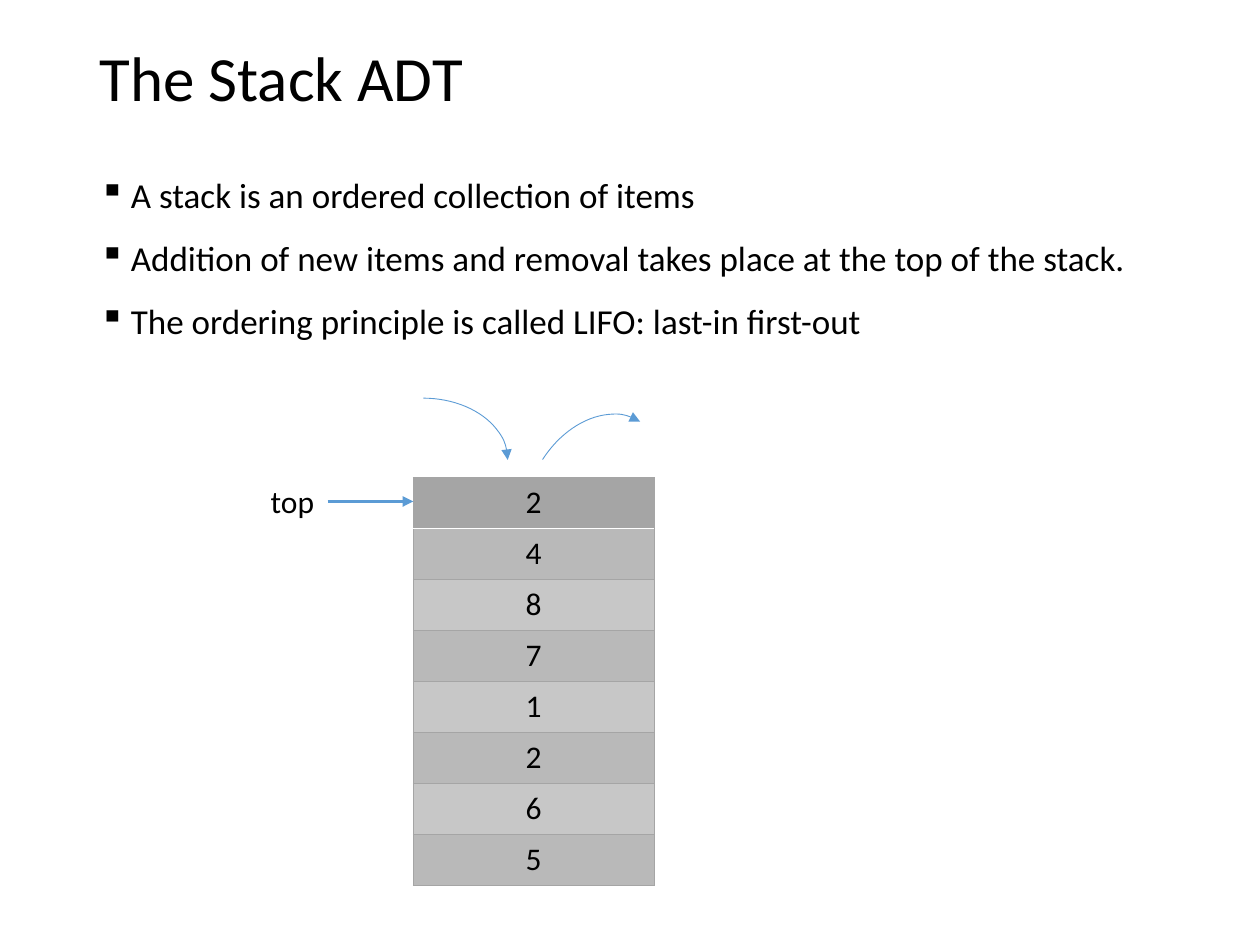
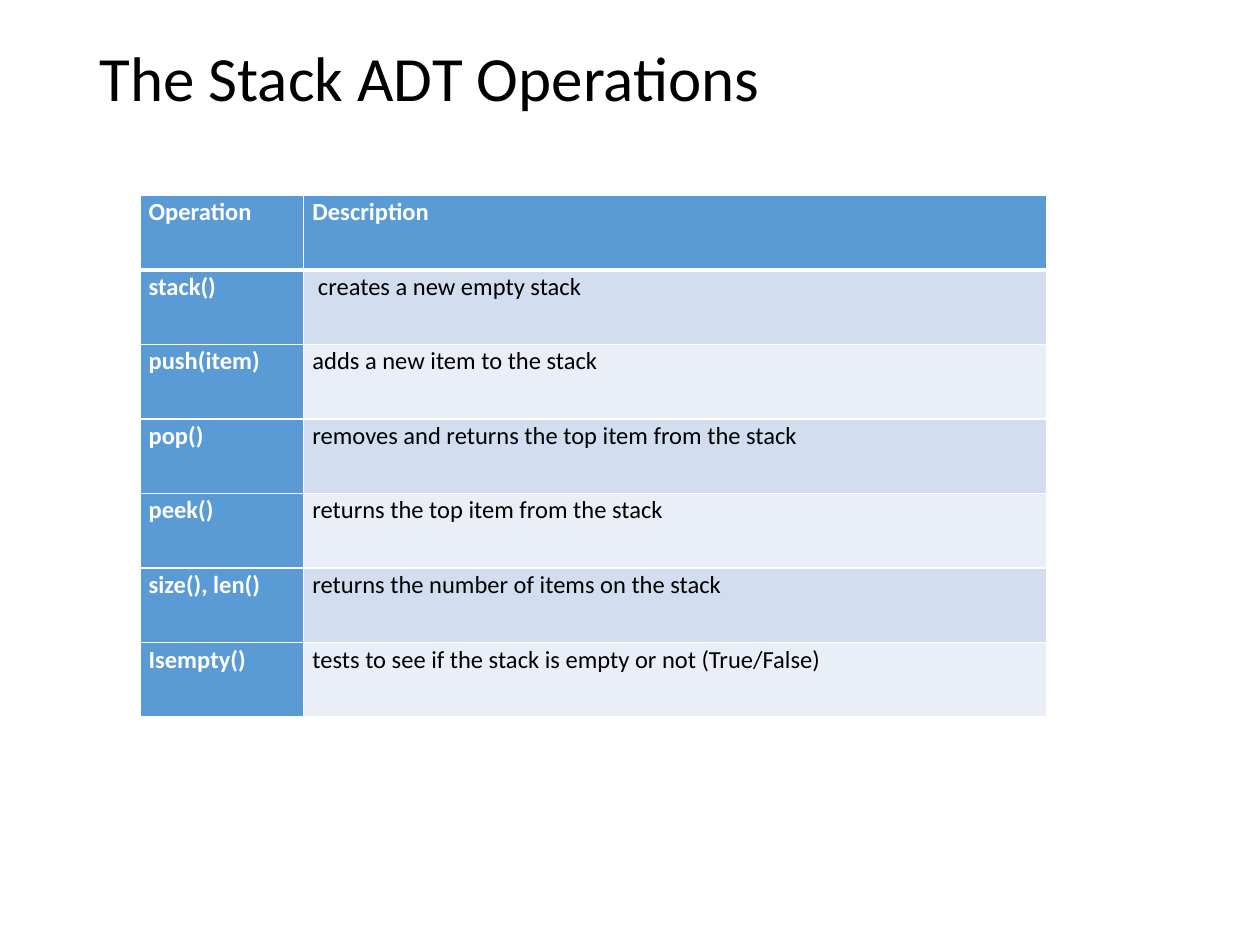
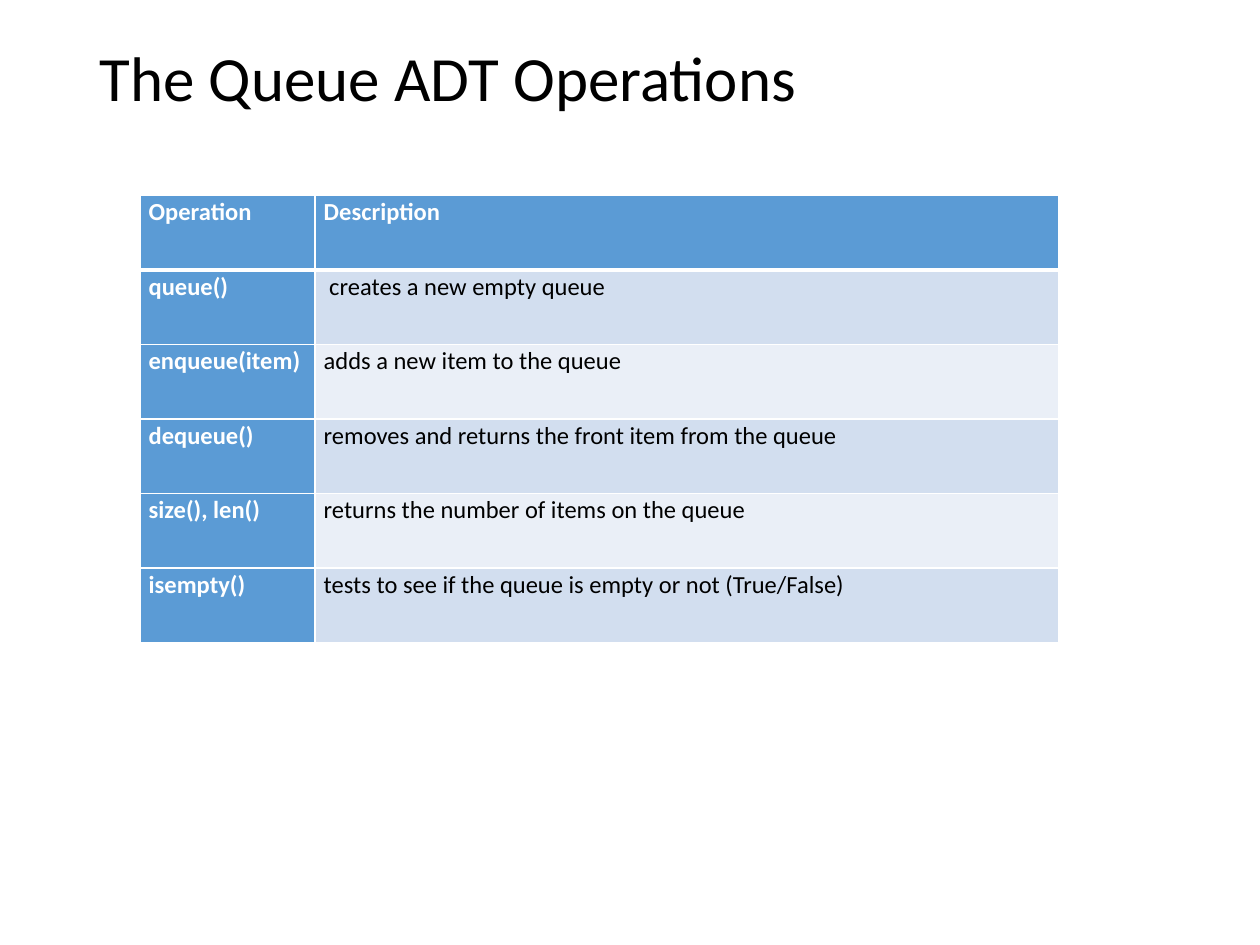
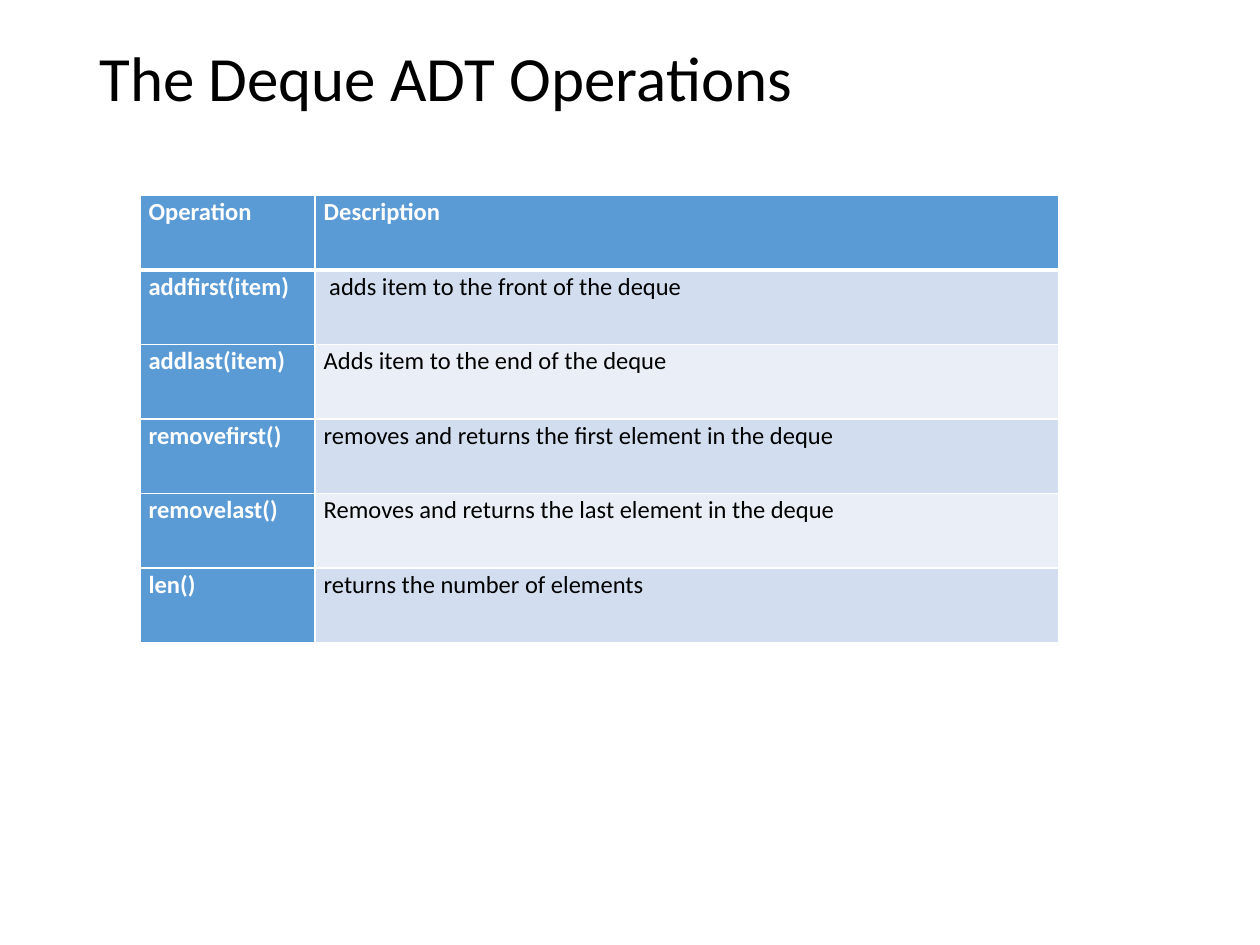
"""Build four slides on the stack, queue and deque abstract data types."""

from lxml.etree import SubElement
from pptx import Presentation
from pptx.dml.color import RGBColor
from pptx.enum.shapes import MSO_CONNECTOR, MSO_SHAPE
from pptx.enum.text import MSO_ANCHOR, MSO_AUTO_SIZE, PP_ALIGN
from pptx.oxml.ns import qn
from pptx.util import Inches, Pt

FONT = "Calibri"
BLACK, WHITE, BLUE, GRAY = "000000", "FFFFFF", "5B9BD5", "A5A5A5"
BLUE_BANDS = ("D2DEEF", "EAEFF7")
GRAY_BANDS = ("B9B9B9", "C7C7C7")

STACK_TITLE = "The Stack ADT"
STACK_POINTS = [
    "A stack is an ordered collection of items",
    "Addition of new items and removal takes place at the top of the stack.",
    "The ordering principle is called LIFO: last-in first-out",
]
STACK_ITEMS = ["2", "4", "8", "7", "1", "2", "6", "5"]
PUSH_AND_POP_ARCS = [(2.69, 3.16, 0), (4.05, 3.42, 302.5)]

HEADINGS = ("Operation", "Description")
OPERATION_SLIDES = [
    ("The Stack ADT Operations", 1.3, [
        ("stack()", "\u00a0creates a new empty stack"),
        ("push(item)", "adds a new item to the stack"),
        ("pop()", "removes and returns the top item from the stack"),
        ("peek()", "returns the top item from the stack"),
        ("size(), len()", "returns the number of items on the stack"),
        ("Isempty()", "tests to see if the stack is empty or not (True/False)"),
    ]),
    ("The Queue ADT Operations", 1.39, [
        ("queue()", "\u00a0creates a new empty queue"),
        ("enqueue(item)", "adds a new item to the queue"),
        ("dequeue()", "removes and returns the front item from the queue"),
        ("size(), len()", "returns the number of items on the queue"),
        ("isempty()", "tests to see if the queue is empty or not (True/False)"),
    ]),
    ("The Deque ADT Operations", 1.39, [
        ("addfirst(item)", "\u00a0adds item to the front of the deque"),
        ("addlast(item)", "Adds item to the end of the deque"),
        ("removefirst()", "removes and returns the first element in the deque"),
        ("removelast()", "Removes and returns the last element in the deque"),
        ("len()", "returns the number of elements"),
    ]),
]


def rgb(value):
    return RGBColor.from_string(value)


def write(frame, text, size=18, color=BLACK, bold=False, spacing=1.0,
          align=PP_ALIGN.LEFT, bullet=None):
    for index, line in enumerate(text.split("\n")):
        paragraph = frame.add_paragraph() if index else frame.paragraphs[0]
        paragraph.alignment = align
        paragraph.line_spacing = spacing
        run = paragraph.add_run()
        run.text = line
        run.font.name, run.font.size, run.font.bold = FONT, Pt(size), bold
        run.font.color.rgb = rgb(color)
        if bullet:
            properties = paragraph._p.get_or_add_pPr()
            properties.set("marL", str(Inches(0.25)))
            properties.set("indent", str(-Inches(0.25)))
            SubElement(properties, qn("a:buChar"), char=bullet)


def add_text(slide, box, text, wrap=True, anchor=MSO_ANCHOR.TOP, **style):
    frame = slide.shapes.add_textbox(*map(Inches, box)).text_frame
    frame.word_wrap = wrap
    frame.vertical_anchor = anchor
    if not wrap:
        frame.auto_size = MSO_AUTO_SIZE.SHAPE_TO_FIT_TEXT
    write(frame, text, **style)


def add_titled_slide(presentation, title):
    slide = presentation.slides.add_slide(presentation.slide_layouts[6])
    add_text(slide, (0.69, 0.03, 8.62, 1.23), title, size=36, spacing=0.9,
             anchor=MSO_ANCHOR.MIDDLE)
    return slide


def add_plain_table(slide, left, top, widths, row_height, row_count):
    table = slide.shapes.add_table(
        row_count, len(widths), Inches(left), Inches(top),
        Inches(sum(widths)), Inches(row_height * row_count)).table
    table.horz_banding = False
    for column, width in zip(table.columns, widths):
        column.width = Inches(width)
    return table


def paint_cell(cell, fill, border, width, **edges):
    properties = cell._tc.get_or_add_tcPr()
    for side in "LRTB":
        color, points = edges.get(side, (border, width))
        line = SubElement(properties, qn(f"a:ln{side}"), w=str(Pt(points)))
        solid = SubElement(line, qn("a:solidFill"))
        SubElement(solid, qn("a:srgbClr"), val=color)
    cell.fill.solid()
    cell.fill.fore_color.rgb = rgb(fill)


def header_edge(row, color, width):
    return {0: {"B": (color, width)}, 1: {"T": (color, width)}}.get(row, {})


def make_arrow(shape, width):
    shape.line.color.rgb = rgb(BLUE)
    shape.line.width = Pt(width)
    properties = shape._element.spPr
    SubElement(properties.find(qn("a:ln")), qn("a:tailEnd"), type="triangle")


def add_stack_slide(presentation):
    slide = add_titled_slide(presentation, STACK_TITLE)
    add_text(slide, (0.69, 1.16, 8.62, 2.22), "\n".join(STACK_POINTS),
             size=20, spacing=1.5, bullet="\u25aa")

    left, top = 3.28, 3.79
    table = add_plain_table(slide, left, top, [1.91], 0.405, len(STACK_ITEMS))
    for row, item in enumerate(STACK_ITEMS):
        cell = table.cell(row, 0)
        fill = GRAY_BANDS[(row - 1) % 2] if row else GRAY
        paint_cell(cell, fill, GRAY, 0.5, **header_edge(row, WHITE, 1))
        write(cell.text_frame, item, align=PP_ALIGN.CENTER)

    add_text(slide, (2.05, 3.78, 0.55, 0.4), "top", wrap=False)
    pointer = slide.shapes.add_connector(
        MSO_CONNECTOR.STRAIGHT, *map(Inches, (2.6, 3.98, left, 3.98)))
    make_arrow(pointer, 2)
    SubElement(pointer._element.spPr, qn("a:effectLst"))
    for arc_left, arc_top, rotation in PUSH_AND_POP_ARCS:
        arc = slide.shapes.add_shape(
            MSO_SHAPE.ARC, *map(Inches, (arc_left, arc_top, 1.34, 0.98)))
        arc.rotation = rotation
        arc.shadow.inherit = False
        arc.fill.background()
        make_arrow(arc, 0.5)


def add_operations_slide(presentation, title, name_width, operations):
    slide = add_titled_slide(presentation, title)
    rows = [HEADINGS, *operations]
    table = add_plain_table(slide, 1.11, 1.55, [name_width, 5.9], 0.592, len(rows))
    table.first_col = True
    for row, texts in enumerate(rows):
        for column, text in enumerate(texts):
            cell = table.cell(row, column)
            strong = row == 0 or column == 0
            cell.margin_left = cell.margin_right = Inches(0.07)
            cell.margin_top = cell.margin_bottom = 0
            fill = BLUE if strong else BLUE_BANDS[(row - 1) % 2]
            paint_cell(cell, fill, WHITE, 1, **header_edge(row, WHITE, 3))
            write(cell.text_frame, text, size=14, spacing=1.07, bold=strong,
                  color=WHITE if strong else BLACK)


def main():
    presentation = Presentation()
    presentation.slide_width, presentation.slide_height = Inches(10), Inches(7.5)
    add_stack_slide(presentation)
    for title, name_width, operations in OPERATION_SLIDES:
        add_operations_slide(presentation, title, name_width, operations)
    presentation.save("out.pptx")


main()
